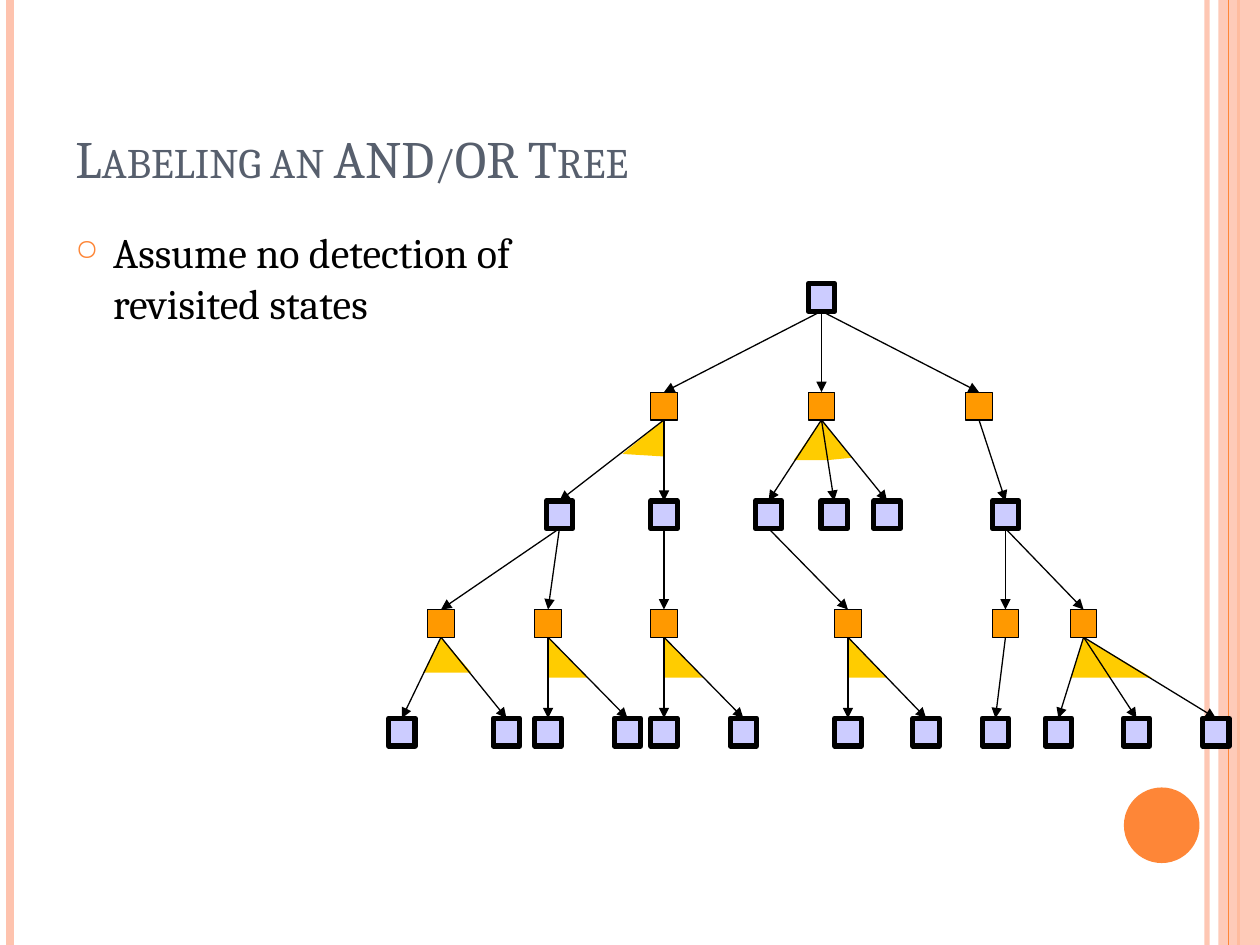
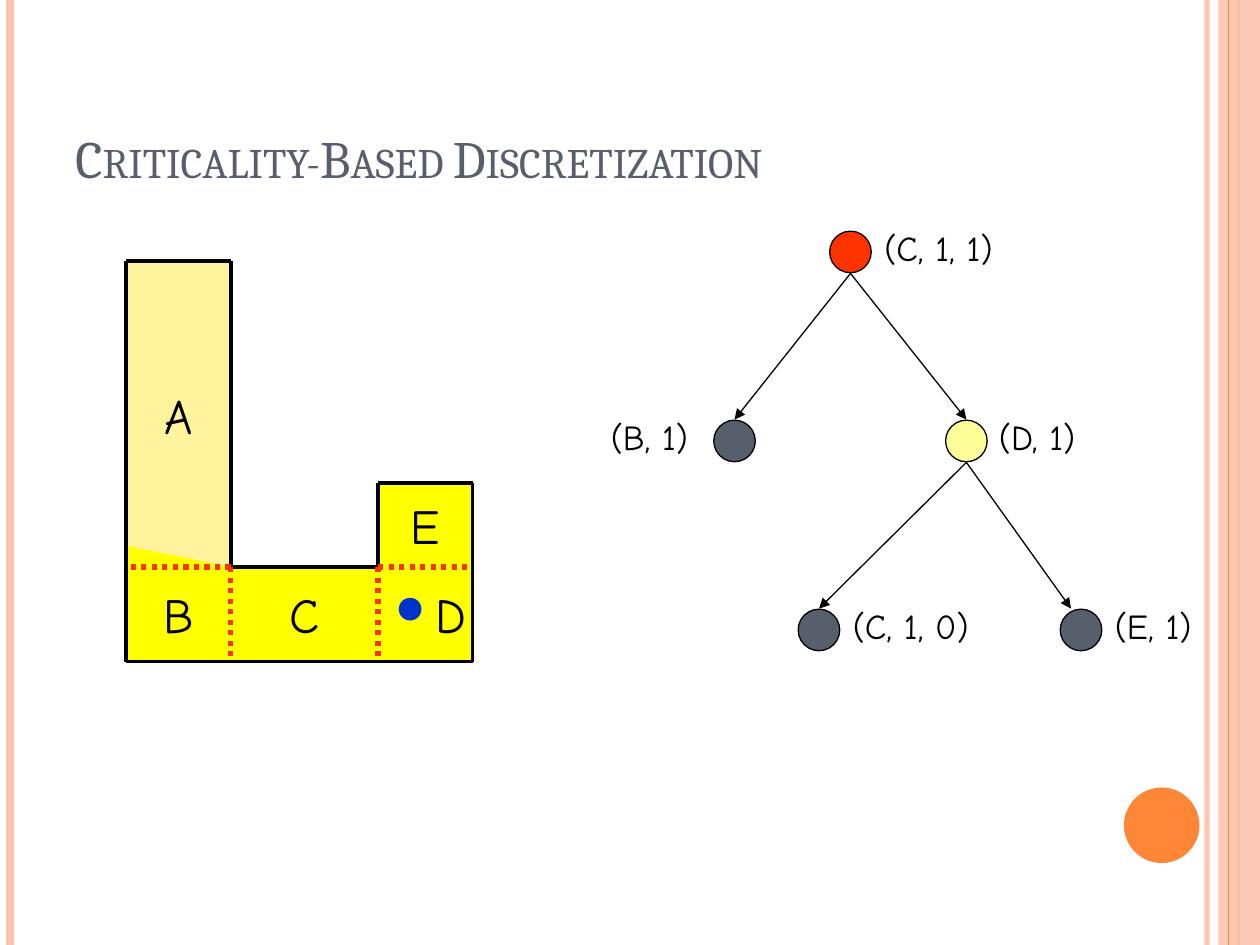
import dataclasses
import itertools

import lxml.etree
import pptx
import pptx.dml.color
import pptx.enum.dml
import pptx.enum.shapes
import pptx.enum.text
import pptx.oxml.ns
import pptx.util

Inches = pptx.util.Inches
Pt = pptx.util.Pt
RGBColor = pptx.dml.color.RGBColor
SHAPE = pptx.enum.shapes.MSO_SHAPE
ALIGN = pptx.enum.text.PP_ALIGN
ANCHOR = pptx.enum.text.MSO_ANCHOR
qn = pptx.oxml.ns.qn

PEACH = RGBColor(0xFE, 0xC3, 0xAE)
ORANGE = RGBColor(0xFE, 0x86, 0x37)
SLATE = RGBColor(0x57, 0x5F, 0x6D)
BLACK = RGBColor(0, 0, 0)
STATE_LILAC = RGBColor(0xCC, 0xCC, 0xFF)
ACTION_ORANGE = RGBColor(0xFF, 0x99, 0x00)
WEDGE_GOLD = RGBColor(0xFF, 0xCC, 0x00)
ROOM_CREAM = RGBColor(0xFF, 0xF3, 0x9D)
VISIBLE_YELLOW = RGBColor(0xFF, 0xFF, 0x00)
SIGNAL_RED = RGBColor(0xFF, 0x33, 0x00)
OPEN_YELLOW = RGBColor(0xFF, 0xFF, 0x99)
ROBOT_BLUE = RGBColor(0x00, 0x33, 0xCC)

SERIF = "Cambria"
HAND = "Comic Neue"

ROOT_TOP = 2.25
LEVEL_STEP = (5.7 - ROOT_TOP) / 4
BOX_W, BOX_H = 0.21, 0.22
DISC = 0.33


@dataclasses.dataclass
class Node:
    x: float
    children: tuple = ()
    wedge: tuple = ()


RIGHT_WEDGE = ((0, 0.32), (0.31, 0.32))

AND_OR_TREE = Node(6.52, (
    Node(5.27, (
        Node(4.44, (
            Node(3.5, (Node(3.19), Node(4.02)), ((-0.14, 0.28), (0.24, 0.28))),
            Node(4.35, (Node(4.35), Node(4.98)), RIGHT_WEDGE),
        )),
        Node(5.27, (Node(5.27, (Node(5.27), Node(5.9)), RIGHT_WEDGE),)),
    ), ((-0.33, 0.27), (0, 0.29))),
    Node(6.52, (
        Node(6.1, (Node(6.73, (Node(6.73), Node(7.35)), RIGHT_WEDGE),)),
        Node(6.62),
        Node(7.04),
    ), ((-0.22, 0.32), (0.04, 0.32), (0.24, 0.3))),
    Node(7.77, (
        Node(7.98, (
            Node(7.98, (Node(7.9),)),
            Node(8.6, (Node(8.4), Node(9.02), Node(9.65)),
                 ((-0.1, 0.32), (0.54, 0.32))),
        )),
    )),
))

ROOM_WALLS = ((1.83, 4.5), (3, 4.5), (3, 3.83), (3.75, 3.83), (3.75, 5.25),
              (1, 5.25), (1, 2.07), (1.83, 2.07), (1.83, 4.5))
VISIBLE_AREA = ((1, 4.33), (1, 5.25), (3.75, 5.25), (3.75, 3.83),
                (3, 3.83), (3, 4.5), (1.83, 4.5))
CRITICAL_LINES = (((1.83, 4.5), (1, 4.5)), ((3, 4.5), (3.75, 4.5)),
                  ((1.83, 4.5), (1.83, 5.25)), ((3, 4.5), (3, 5.25)))
REGIONS = (
    ("A", (1, 2.08, 0.83, 2.42), ALIGN.CENTER),
    ("B", (1, 4.5, 0.83, 0.75), ALIGN.CENTER),
    ("C", (1.83, 4.5, 1.17, 0.75), ALIGN.CENTER),
    ("D", (3, 4.5, 0.75, 0.75), ALIGN.RIGHT),
    ("E", (3, 3.83, 0.75, 0.67), ALIGN.CENTER),
)
BELIEF_STATES = (
    ("(C, 1, 1)", 6.75, 2, SIGNAL_RED, 6.92, 1.14),
    ("(B, 1)", 5.83, 3.5, SLATE, 4.75, 0.87),
    ("(D, 1)", 7.67, 3.5, OPEN_YELLOW, 7.83, 0.89),
    ("(C, 1, 0)", 6.5, 5, SLATE, 6.67, 1.19),
    ("(E, 1)", 8.58, 5, SLATE, 8.75, 0.86),
)
BELIEF_ARROWS = (((6.75, 2.17), (5.83, 3.33)), ((6.75, 2.17), (7.67, 3.33)),
                 ((7.67, 3.67), (6.5, 4.83)), ((7.67, 3.67), (8.5, 4.83)))


def set_alpha(element, percent):
    color = element.find(".//" + qn("a:srgbClr"))
    lxml.etree.SubElement(color, qn("a:alpha"), val=str(percent * 1000))


def paint(shape, fill, line=None, width=0.75):
    shape.shadow.inherit = False
    shape.fill.solid()
    shape.fill.fore_color.rgb = fill
    if line is None:
        shape.line.fill.background()
    else:
        shape.line.color.rgb = line
        shape.line.width = Pt(width)
    return shape


def add_figure(slide, kind, bounds, fill, line=None, width=0.75):
    shape = slide.shapes.add_shape(kind, *map(Inches, bounds))
    return paint(shape, fill, line, width)


def add_polygon(slide, points, fill):
    corners = [(Inches(x), Inches(y)) for x, y in points]
    builder = slide.shapes.build_freeform(*corners[0], scale=1.0)
    builder.add_line_segments(corners[1:], close=True)
    return paint(builder.convert_to_shape(), fill)


def add_line(slide, start, end, color=BLACK, width=0.75, dash=None, arrow=False):
    connector = slide.shapes.add_connector(
        pptx.enum.shapes.MSO_CONNECTOR.STRAIGHT, *map(Inches, (*start, *end)))
    connector.line.color.rgb = color
    connector.line.width = Pt(width)
    if dash:
        connector.line.dash_style = dash
    properties = connector._element.spPr
    if arrow:
        lxml.etree.SubElement(properties.find(qn("a:ln")), qn("a:tailEnd"), type="triangle")
    lxml.etree.SubElement(properties, qn("a:effectLst"))
    return connector


def add_text(slide, text, bounds, font, size, color=BLACK, align=ALIGN.LEFT,
             anchor=ANCHOR.TOP, wrap=True):
    frame = slide.shapes.add_textbox(*map(Inches, bounds)).text_frame
    frame.word_wrap = wrap
    frame.vertical_anchor = anchor
    paragraph = frame.paragraphs[0]
    paragraph.text = text
    paragraph.alignment = align
    for run in paragraph.runs:
        run.font.name = font
        run.font.size = Pt(size)
        run.font.color.rgb = color
    return frame


def add_bullet(paragraph):
    paragraph.space_before = Pt(6)
    properties = paragraph._p.get_or_add_pPr()
    properties.set("marL", str(Inches(0.3)))
    properties.set("indent", str(Inches(-0.3)))
    color = lxml.etree.SubElement(properties, qn("a:buClr"))
    lxml.etree.SubElement(color, qn("a:srgbClr"), val=str(ORANGE))
    lxml.etree.SubElement(properties, qn("a:buSzPct"), val="70000")
    lxml.etree.SubElement(properties, qn("a:buChar"), char="○")


def add_themed_slide(deck, title):
    slide = deck.slides.add_slide(deck.slide_layouts[6])
    inner_rule = add_line(slide, (9.58, 0), (9.58, 7.5), PEACH, 3)
    set_alpha(inner_rule._element.spPr, 93)
    add_line(slide, (0.08, 0), (0.08, 7.5), PEACH, 4.5)
    add_line(slide, (9.83, 0), (9.83, 7.5), ORANGE, 1.5)
    band = add_figure(slide, SHAPE.RECTANGLE, (9.67, 0, 0.33, 7.5), PEACH)
    set_alpha(band._element.spPr, 87)
    add_line(slide, (9.75, 0), (9.75, 7.5), ORANGE)
    add_figure(slide, SHAPE.OVAL, (8.92, 6.25, 0.6, 0.6), ORANGE)
    heading = add_text(slide, title, (0.5, 0.3, 8.17, 1.25), SERIF, 30, SLATE,
                       anchor=ANCHOR.BOTTOM)
    heading.paragraphs[0].runs[0].font._element.set("cap", "small")
    return slide


def walk(node, level=0):
    yield node, level
    for child in node.children:
        yield from walk(child, level + 1)


def level_top(level):
    return ROOT_TOP + level * LEVEL_STEP


def add_and_or_tree(slide, root):
    nodes = list(walk(root))
    for node, level in nodes:
        if node.wedge:
            apex_y = level_top(level) + BOX_H
            base = [(node.x + dx, apex_y + dy) for dx, dy in node.wedge]
            add_polygon(slide, [(node.x, apex_y), *base], WEDGE_GOLD)
    for node, level in nodes:
        for child in node.children:
            add_line(slide, (node.x, level_top(level) + BOX_H),
                     (child.x, level_top(level + 1)), arrow=True)
    for node, level in nodes:
        fill, width = (ACTION_ORANGE, 0.75) if level % 2 else (STATE_LILAC, 3)
        add_figure(slide, SHAPE.RECTANGLE,
                   (node.x - BOX_W / 2, level_top(level), BOX_W, BOX_H),
                   fill, BLACK, width)


def add_floor_plan(slide):
    add_figure(slide, SHAPE.RECTANGLE, (1, 2.08, 0.83, 2.42), ROOM_CREAM)
    add_polygon(slide, VISIBLE_AREA, VISIBLE_YELLOW)
    for start, end in itertools.pairwise(ROOM_WALLS):
        add_line(slide, start, end, width=2.25)
    for start, end in CRITICAL_LINES:
        add_line(slide, start, end, SIGNAL_RED, 3,
                 pptx.enum.dml.MSO_LINE.ROUND_DOT)
    for name, bounds, align in REGIONS:
        region = add_text(slide, name, bounds, HAND, 28, align=align,
                          anchor=ANCHOR.MIDDLE)
        region.margin_left = region.margin_right = Inches(0.05)
    add_figure(slide, SHAPE.OVAL, (3.17, 4.75, 0.17, 0.17), ROBOT_BLUE, ROBOT_BLUE)


def add_belief_tree(slide):
    for start, end in BELIEF_ARROWS:
        add_line(slide, start, end, arrow=True)
    for label, x, y, fill, label_left, label_width in BELIEF_STATES:
        add_figure(slide, SHAPE.OVAL, (x - DISC / 2, y - DISC / 2, DISC, DISC),
                   fill, BLACK)
        add_text(slide, label, (label_left, y - 0.25, label_width, 0.43),
                 HAND, 20, wrap=False)


def main():
    deck = pptx.Presentation()
    deck.slide_width, deck.slide_height = Inches(10), Inches(7.5)

    labeling = add_themed_slide(deck, "Labeling an AND/OR Tree")
    assumption = add_text(labeling, "Assume no detection of \vrevisited states",
                          (0.5, 1.75, 8.17, 5.33), SERIF, 24)
    add_bullet(assumption.paragraphs[0])
    add_and_or_tree(labeling, AND_OR_TREE)

    discretization = add_themed_slide(deck, "Criticality-Based Discretization")
    add_floor_plan(discretization)
    add_belief_tree(discretization)

    deck.save("out.pptx")


if __name__ == "__main__":
    main()
